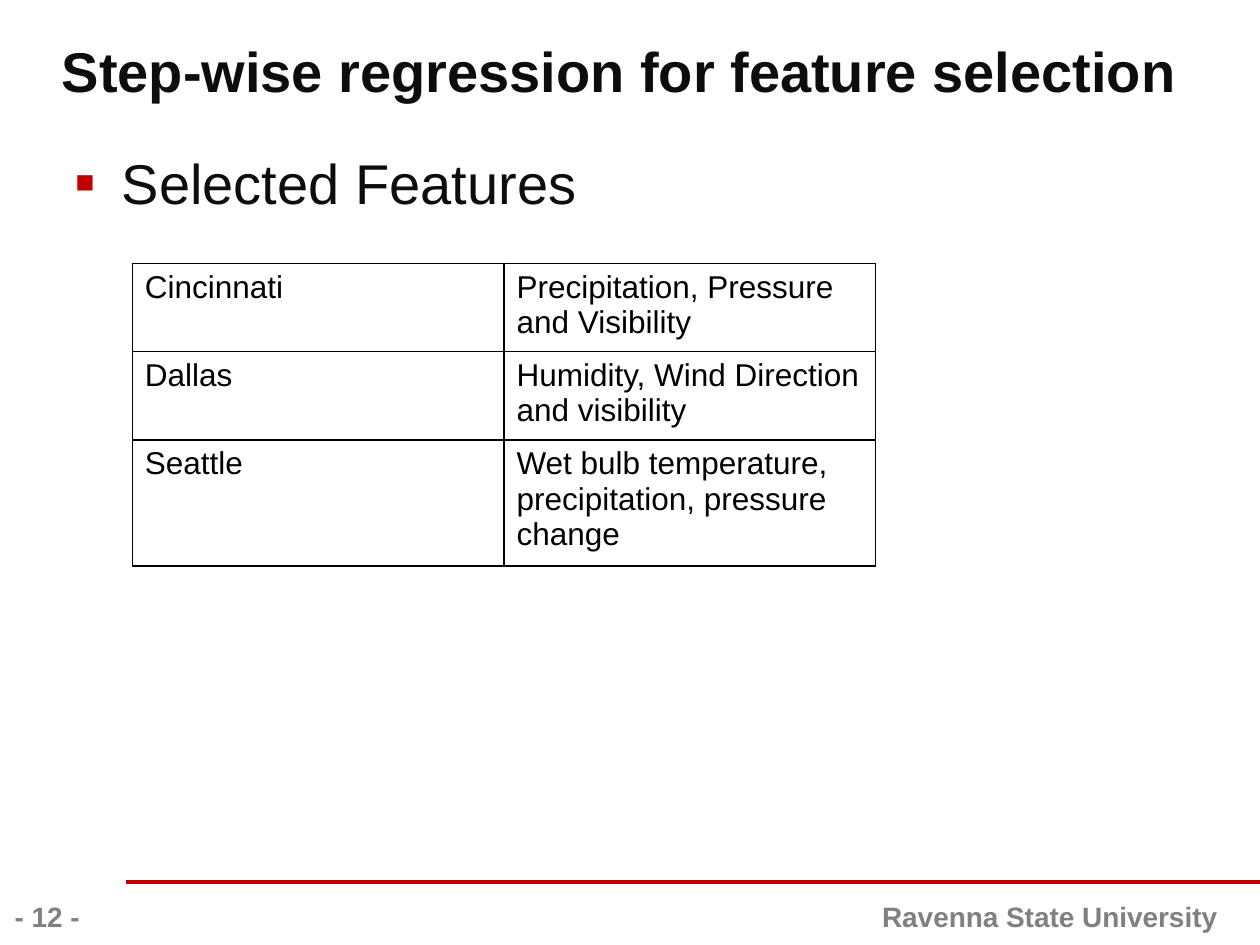
"""Build a slide listing the features selected for each city."""
from lxml.etree import SubElement
from pptx import Presentation
from pptx.dml.color import RGBColor
from pptx.enum.shapes import MSO_CONNECTOR as Connector
from pptx.enum.text import MSO_ANCHOR as Anchor, PP_ALIGN as Align
from pptx.oxml import parse_xml
from pptx.oxml.ns import nsdecls, qn
from pptx.util import Inches, Pt

TITLE = "Step-wise regression for feature selection"
BULLET = "Selected Features"
FEATURES = [
    ("Cincinnati", "Precipitation, Pressure and Visibility"),
    ("Dallas", "Humidity, Wind Direction and visibility"),
    ("Seattle", "Wet bulb temperature, precipitation, pressure change"),
]
PAGE = "- 12 -"
FOOTER = "Ravenna State University"

COLORS = {"ink": "0D0D0D", "black": "000000", "gray": "808080", "accent": "C00000"}
FONT = "Arial"
WIDTH, HEIGHT = 10, 7.5
MARGIN, CONTENT_WIDTH, BAND = 0.49, 9, 0.88
FOOTER_TOP, FOOTER_HEIGHT = 7.09, 0.41
TABLE_LEFT, TABLE_TOP, COLUMN_WIDTH = 1.05, 2.09, 2.95
ROW_HEIGHTS = [0.66, 0.66, 0.94]


def rgb(name):
    return RGBColor.from_string(COLORS[name])


def write(frame, text, size=18, color="black", bold=False, align=Align.LEFT):
    frame.word_wrap = True
    paragraph = frame.paragraphs[0]
    paragraph.alignment = align
    run = paragraph.add_run()
    run.text = text
    font = run.font
    font.name, font.size, font.bold = FONT, Pt(size), bold
    font.color.rgb = rgb(color)
    return paragraph


def add_text(slide, box, text, **style):
    shape = slide.shapes.add_textbox(*map(Inches, box))
    return shape.text_frame, write(shape.text_frame, text, **style)


def add_title(slide):
    frame, paragraph = add_text(slide, (MARGIN, 0.12, CONTENT_WIDTH, BAND), TITLE,
                                size=32, color="ink", bold=True)
    frame.vertical_anchor = Anchor.MIDDLE
    frame.margin_left = frame.margin_right = frame.margin_top = frame.margin_bottom = 0
    shadow = parse_xml(
        f'<a:effectLst {nsdecls("a")}><a:outerShdw blurRad="38100" dist="38100" dir="2700000">'
        f'<a:srgbClr val="{COLORS["black"]}"><a:alpha val="43000"/></a:srgbClr>'
        '</a:outerShdw></a:effectLst>')
    paragraph.runs[0].font._element.find(qn("a:latin")).addprevious(shadow)


def add_bullet(slide):
    _, paragraph = add_text(slide, (MARGIN, 1.02, CONTENT_WIDTH, BAND), BULLET,
                            size=32, color="ink")
    paragraph.line_spacing, paragraph.space_before = 1.2, Pt(6)
    properties = paragraph._p.get_or_add_pPr()
    properties.set("marL", str(Inches(0.38)))
    properties.set("indent", str(Inches(-0.38)))
    bullet_color = SubElement(properties, qn("a:buClr"))
    SubElement(bullet_color, qn("a:srgbClr"), val=COLORS["accent"])
    SubElement(properties, qn("a:buSzPct"), val="110000")
    SubElement(properties, qn("a:buFont"), typeface=FONT)
    SubElement(properties, qn("a:buChar"), char="▪")


def add_borders(cell):
    properties = cell._tc.get_or_add_tcPr()
    for index, side in enumerate("LRTB"):
        properties.insert(index, parse_xml(
            f'<a:ln{side} {nsdecls("a")} w="{Pt(1)}"><a:solidFill>'
            f'<a:srgbClr val="{COLORS["black"]}"/></a:solidFill></a:ln{side}>'))


def add_features(slide):
    columns = len(FEATURES[0])
    box = (TABLE_LEFT, TABLE_TOP, columns * COLUMN_WIDTH, sum(ROW_HEIGHTS))
    table = slide.shapes.add_table(len(FEATURES), columns, *map(Inches, box)).table
    table.first_row = table.horz_banding = False
    for column in table.columns:
        column.width = Inches(COLUMN_WIDTH)
    for row, height, texts in zip(table.rows, ROW_HEIGHTS, FEATURES):
        row.height = Inches(height)
        for cell, text in zip(row.cells, texts):
            write(cell.text_frame, text)
            cell.fill.background()
            add_borders(cell)


def add_footer(slide):
    line = slide.shapes.add_connector(
        Connector.STRAIGHT, *map(Inches, (1, 7, WIDTH, 7)))
    line.line.color.rgb, line.line.width = rgb("accent"), Pt(2)
    SubElement(line._element.spPr, qn("a:effectLst"))
    for left, width, text, align in [(4.92, 4.84, FOOTER, Align.RIGHT),
                                     (0, 0.75, PAGE, Align.CENTER)]:
        add_text(slide, (left, FOOTER_TOP, width, FOOTER_HEIGHT), text,
                 size=16, color="gray", bold=True, align=align)


def main():
    presentation = Presentation()
    presentation.slide_width, presentation.slide_height = Inches(WIDTH), Inches(HEIGHT)
    slide = presentation.slides.add_slide(presentation.slide_layouts[6])
    add_footer(slide)
    add_title(slide)
    add_bullet(slide)
    add_features(slide)
    presentation.save("out.pptx")


if __name__ == "__main__":
    main()
